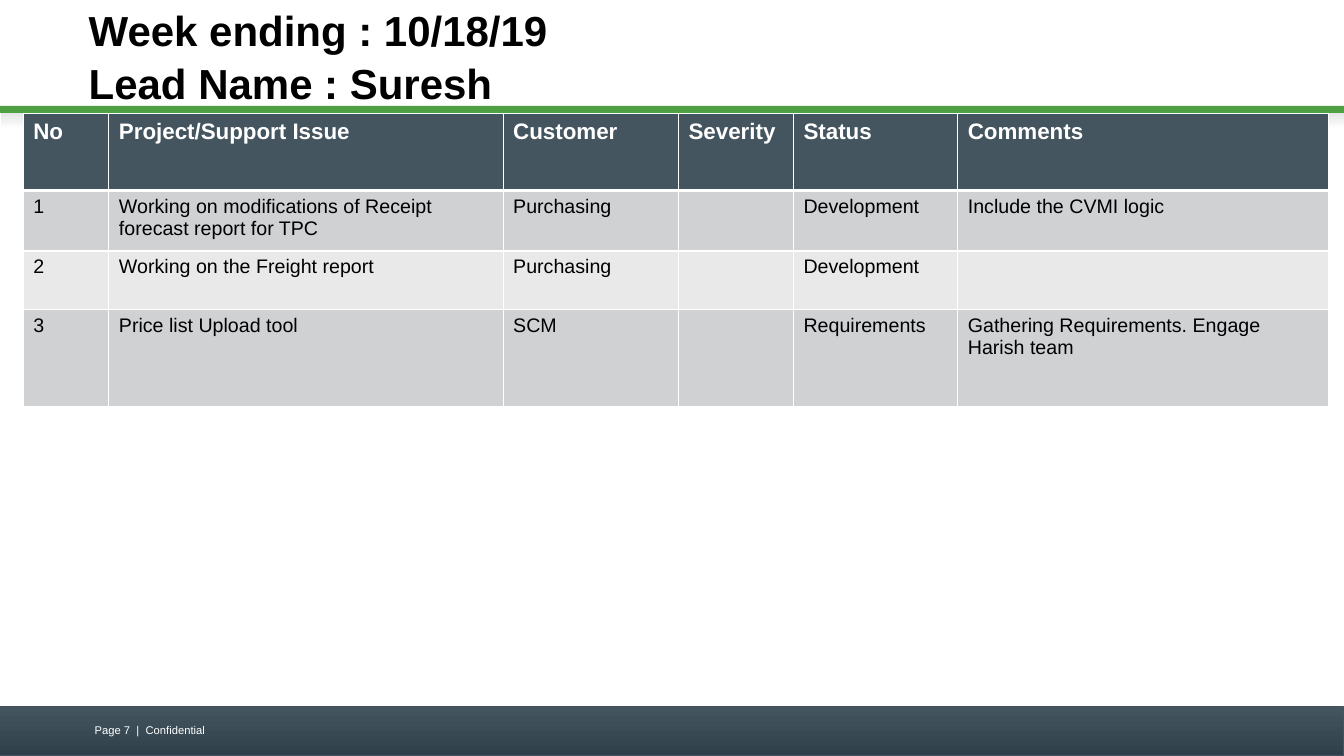
from dataclasses import dataclass
from typing import Optional

from lxml import etree
from pptx import Presentation
from pptx.dml.color import RGBColor
from pptx.enum.shapes import MSO_SHAPE
from pptx.enum.text import MSO_ANCHOR
from pptx.oxml.ns import qn
from pptx.util import Inches, Pt

FONT = "Arial"
COLORS = {
    "white": "FFFFFF",
    "black": "000000",
    "slate": "455560",
    "slate_dark": "30404B",
    "slate_line": "43535F",
    "green": "4F9F43",
    "shade": "E4E5E6",
    "row_odd": "CFD1D2",
    "row_even": "E9E9EA",
}


@dataclass(frozen=True)
class Band:
    left: float
    top: float
    width: float
    height: float
    colors: tuple[str, ...]
    angle: int = 0
    line: Optional[str] = None


@dataclass(frozen=True)
class Label:
    left: float
    top: float
    width: float
    height: float
    lines: tuple[str, ...]
    size: int
    color: str
    bold: bool = False
    inset: float = 0.1
    anchor: MSO_ANCHOR = MSO_ANCHOR.TOP
    spacing: float = 1.0


BANDS = [
    Band(0, 7.01, 13.33, 0.49, ("slate_dark", "slate"), 90, "slate_line"),
    Band(0.01, 1.12, 13.33, 0.16, ("shade", "white"), 270),
    Band(0, 1.05, 13.34, 0.07, ("green",)),
]
LABELS = [
    Label(0.88, 0.14, 11.33, 0.81, ("Week ending : 10/18/19", "Lead Name : Suresh"),
          30, "black", True, 0, MSO_ANCHOR.MIDDLE, 1.05),
    Label(0.84, 7.13, 3.11, 0.26, ("Page 7  |  Confidential",), 8, "white"),
]
COLUMN_WIDTHS = [0.85, 3.91, 1.74, 1.14, 1.63, 3.68]
ROW_HEIGHTS = [0.76, 0.6, 0.58, 0.96]
ISSUES = [
    ("No", "Project/Support Issue", "Customer", "Severity", "Status", "Comments"),
    ("1", "Working on modifications of Receipt forecast report for TPC",
     "Purchasing", "", "Development", "Include the CVMI logic"),
    ("2", "Working on the Freight report", "Purchasing", "", "Development", ""),
    ("3", "Price list Upload tool", "SCM", "", "Requirements",
     "Gathering Requirements. Engage Harish team"),
]


def rgb(name: str) -> RGBColor:
    return RGBColor.from_string(COLORS[name])


def style_font(font, size: int, color: str, bold: bool) -> None:
    font.name = FONT
    font.size = Pt(size)
    font.bold = bold
    font.color.rgb = rgb(color)


def draw_band(slide, band: Band) -> None:
    shape = slide.shapes.add_shape(
        MSO_SHAPE.RECTANGLE, Inches(band.left), Inches(band.top),
        Inches(band.width), Inches(band.height))
    shape.shadow.inherit = False
    if len(band.colors) == 1:
        shape.fill.solid()
        shape.fill.fore_color.rgb = rgb(band.colors[0])
    else:
        shape.fill.gradient()
        shape.fill.gradient_angle = band.angle
        for stop, color in zip(shape.fill.gradient_stops, band.colors):
            stop.color.rgb = rgb(color)
    if band.line:
        shape.line.color.rgb = rgb(band.line)
        shape.line.width = Pt(0.75)
    else:
        shape.line.fill.background()


def draw_label(slide, label: Label) -> None:
    box = slide.shapes.add_textbox(
        Inches(label.left), Inches(label.top), Inches(label.width), Inches(label.height))
    frame = box.text_frame
    frame.word_wrap = True
    frame.vertical_anchor = label.anchor
    frame.margin_left = frame.margin_right = Inches(label.inset)
    frame.text = "\n".join(label.lines)
    for paragraph in frame.paragraphs:
        paragraph.line_spacing = label.spacing
        style_font(paragraph.runs[0].font, label.size, label.color, label.bold)


def add_borders(cell, top: int, bottom: int) -> None:
    properties = cell._tc.get_or_add_tcPr()
    widths = {"a:lnL": 1, "a:lnR": 1, "a:lnT": top, "a:lnB": bottom}
    for position, (tag, width) in enumerate(widths.items()):
        line = etree.Element(qn(tag), w=str(Pt(width)))
        fill = etree.SubElement(line, qn("a:solidFill"))
        etree.SubElement(fill, qn("a:srgbClr"), val=COLORS["white"])
        properties.insert(position, line)


def draw_issue_table(slide) -> None:
    table = slide.shapes.add_table(
        len(ROW_HEIGHTS), len(COLUMN_WIDTHS), Inches(0.23), Inches(1.13),
        Inches(sum(COLUMN_WIDTHS)), Inches(sum(ROW_HEIGHTS))).table
    for column, width in zip(table.columns, COLUMN_WIDTHS):
        column.width = Inches(width)
    for row, height in zip(table.rows, ROW_HEIGHTS):
        row.height = Inches(height)
    for row_index, values in enumerate(ISSUES):
        header = row_index == 0
        fill = "slate" if header else ("row_odd" if row_index % 2 else "row_even")
        for column_index, value in enumerate(values):
            cell = table.cell(row_index, column_index)
            cell.fill.solid()
            cell.fill.fore_color.rgb = rgb(fill)
            add_borders(cell, 3 if row_index == 1 else 1, 3 if header else 1)
            if value:
                cell.text = value
                style_font(cell.text_frame.paragraphs[0].runs[0].font,
                           16 if header else 14, "white" if header else "black", header)


def main() -> None:
    presentation = Presentation()
    presentation.slide_width = Inches(13.33)
    presentation.slide_height = Inches(7.5)
    slide = presentation.slides.add_slide(presentation.slide_layouts[6])
    for band in BANDS:
        draw_band(slide, band)
    for label in LABELS:
        draw_label(slide, label)
    draw_issue_table(slide)
    presentation.save("out.pptx")


main()
